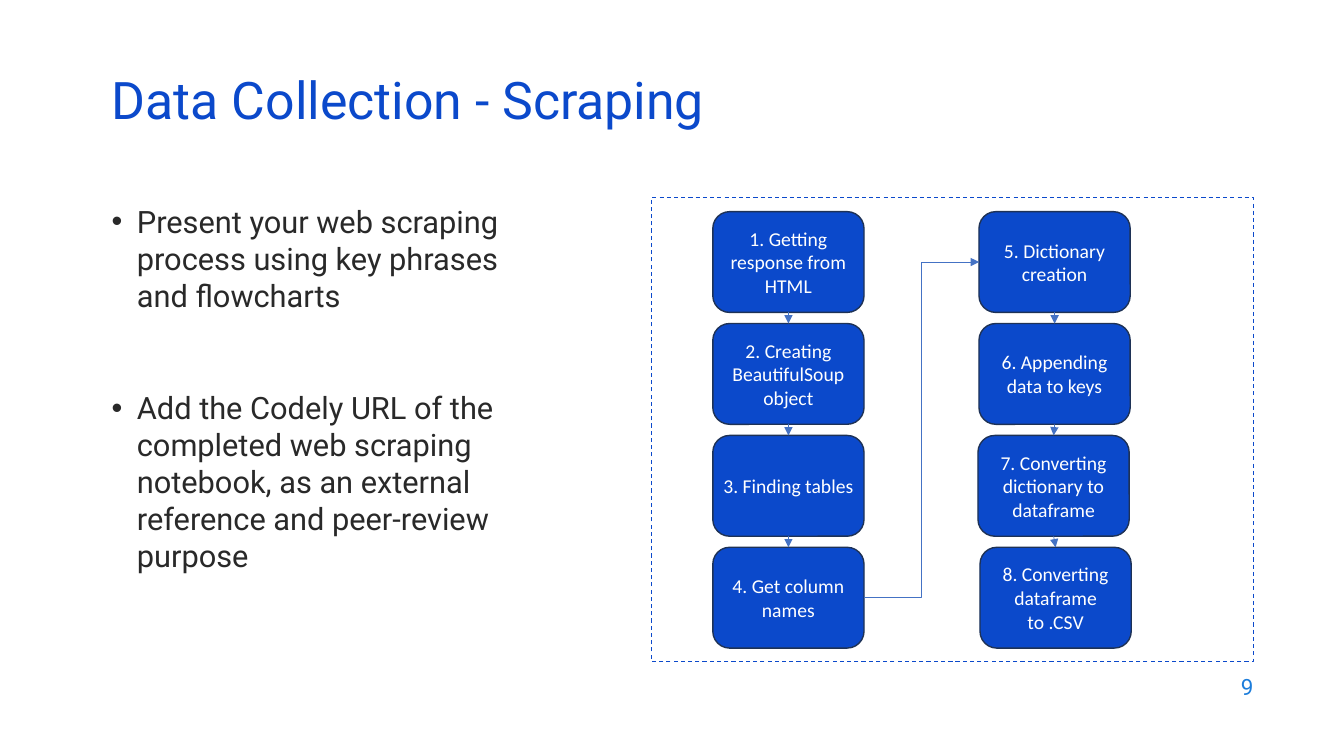
"""Build the web scraping slide with its two-column flowchart."""
import pptx
import pptx.dml.color
import pptx.enum.dml
import pptx.enum.shapes
import pptx.enum.text
import pptx.oxml
import pptx.oxml.ns
import pptx.util

RGB = pptx.dml.color.RGBColor
BLUE = RGB(0x0B, 0x49, 0xCB)
NAVY = RGB(0x1E, 0x32, 0x56)
LINK = RGB(0x44, 0x72, 0xC4)
SKY = RGB(0x1C, 0x7D, 0xDB)
INK = RGB(0x29, 0x29, 0x29)
WHITE = RGB(0xFF, 0xFF, 0xFF)

SHAPE = pptx.enum.shapes.MSO_SHAPE
LINE = pptx.enum.shapes.MSO_CONNECTOR
ALIGN = pptx.enum.text.PP_ALIGN
MIDDLE = pptx.enum.text.MSO_ANCHOR.MIDDLE
NO_FIT = pptx.enum.text.MSO_AUTO_SIZE.NONE
DASH = pptx.enum.dml.MSO_LINE.DASH
NS = pptx.oxml.ns.nsdecls("a")
SCALE = 9144
TOP, LEFT, BOTTOM, RIGHT = range(4)

STEPS = [
    "1. Getting response from HTML", "2. Creating BeautifulSoup object",
    "3. Finding tables", "4. Get column names",
    "5. Dictionary creation", "6. Appending data to keys",
    "7. Converting dictionary to dataframe", "8. Converting dataframe to .CSV",
]
LEFTS = [707] * 4 + [971, 971, 970, 972]
POINTS = [
    "Present your web scraping process using key phrases and flowcharts",
    "Add the Codely URL of the completed web scraping notebook, "
    "as an external reference and peer-review purpose",
]


def px(*vals):
    return [pptx.util.Emu(val * SCALE) for val in vals]


def style(item, vals):
    for name, val in vals.items():
        setattr(item, name, val)


class Deck:
    """Hold the style and the current slide."""

    def __init__(self):
        self.show = pptx.Presentation()
        style(self.show, dict(zip(("slide_width", "slide_height"), px(1333, 750))))
        self.slide = self.show.slides.add_slide(self.show.slide_layouts[5])
        self.shapes = self.slide.shapes

    def put(self, para, text, size, color, face="Roboto", **vals):
        run = para.add_run()
        run.text = text
        style(run.font, {"name": face, "size": pptx.util.Pt(size), "bold": False})
        run.font.color.rgb = color
        style(para, vals)

    def title(self, text, *area):
        shape = self.shapes.title
        style(shape, dict(zip(("left", "top", "width", "height"), px(*area))))
        style(shape.text_frame, {"vertical_anchor": MIDDLE, "word_wrap": True, "auto_size": NO_FIT})
        self.put(shape.text_frame.paragraphs[0], text, 37, BLUE,
                 alignment=ALIGN.LEFT, line_spacing=0.7)

    def text(self, *area, **vals):
        frame = self.shapes.add_textbox(*px(*area)).text_frame
        style(frame, {"word_wrap": True, **vals})
        return frame

    def points(self, points, *area):
        frame = self.text(*area)
        for num, point in enumerate(points):
            para = frame.add_paragraph() if num else frame.paragraphs[0]
            props = para._p.get_or_add_pPr()
            props.set("marL", str(25 * SCALE))
            props.set("indent", str(-25 * SCALE))
            for tag in ('buFont %s typeface="Arial"', 'buChar %s char="•"'):
                props.append(pptx.oxml.parse_xml(f"<a:{tag % NS}/>"))
            self.put(para, point, 22, INK, space_before=pptx.util.Pt(54 if num else 0))

    def page(self, num, *area):
        frame = self.text(*area, vertical_anchor=MIDDLE)
        self.put(frame.paragraphs[0], num, 16, SKY, alignment=ALIGN.RIGHT)

    def shape(self, kind, area, color, width):
        shape = self.shapes.add_shape(kind, *px(*area))
        shape.shadow.inherit = False
        shape.line.color.rgb = color
        shape.line.width = pptx.util.Pt(width)
        return shape

    def frame(self, *area):
        shape = self.shape(SHAPE.RECTANGLE, area, BLUE, 0.75)
        shape.fill.background()
        shape.line.dash_style = DASH

    def step(self, text, *area):
        shape = self.shape(SHAPE.ROUNDED_RECTANGLE, area, NAVY, 1)
        shape.fill.solid()
        shape.fill.fore_color.rgb = BLUE
        sides = ("left", "top", "right", "bottom")
        style(shape.text_frame, {f"margin_{side}": 0 for side in sides})
        style(shape.text_frame, {"word_wrap": True, "vertical_anchor": MIDDLE})
        self.put(shape.text_frame.paragraphs[0], text, 14, WHITE, "Calibri",
                 alignment=ALIGN.CENTER)
        return shape

    def arrow(self, kind, start, out, end, into):
        link = self.shapes.add_connector(kind, 0, 0, 0, 0)
        link.begin_connect(start, out)
        link.end_connect(end, into)
        link.line.color.rgb = LINK
        link.line.width = pptx.util.Pt(0.5)
        props = link._element.spPr
        stroke = props.find(pptx.oxml.ns.qn("a:ln"))
        stroke.append(pptx.oxml.parse_xml(f'<a:tailEnd {NS} type="triangle"/>'))
        props.append(pptx.oxml.parse_xml(f"<a:effectLst {NS}/>"))


def main():
    deck = Deck()
    deck.title("Data Collection - Scraping", 101, 76, 1150, 60)
    deck.page("9", 953, 659, 300, 44)
    deck.points(POINTS, 101, 196, 430, 417)
    deck.frame(646, 196, 597, 460)
    boxes = [deck.step(text, left, 210 + 111 * (num % 4), 150, 100)
             for num, (text, left) in enumerate(zip(STEPS, LEFTS))]
    for num, (start, end) in enumerate(zip(boxes, boxes[1:])):
        if num == 3:
            deck.arrow(LINE.ELBOW, start, RIGHT, end, LEFT)
        else:
            deck.arrow(LINE.STRAIGHT, start, BOTTOM, end, TOP)
    deck.show.save("out.pptx")


if __name__ == "__main__":
    main()
